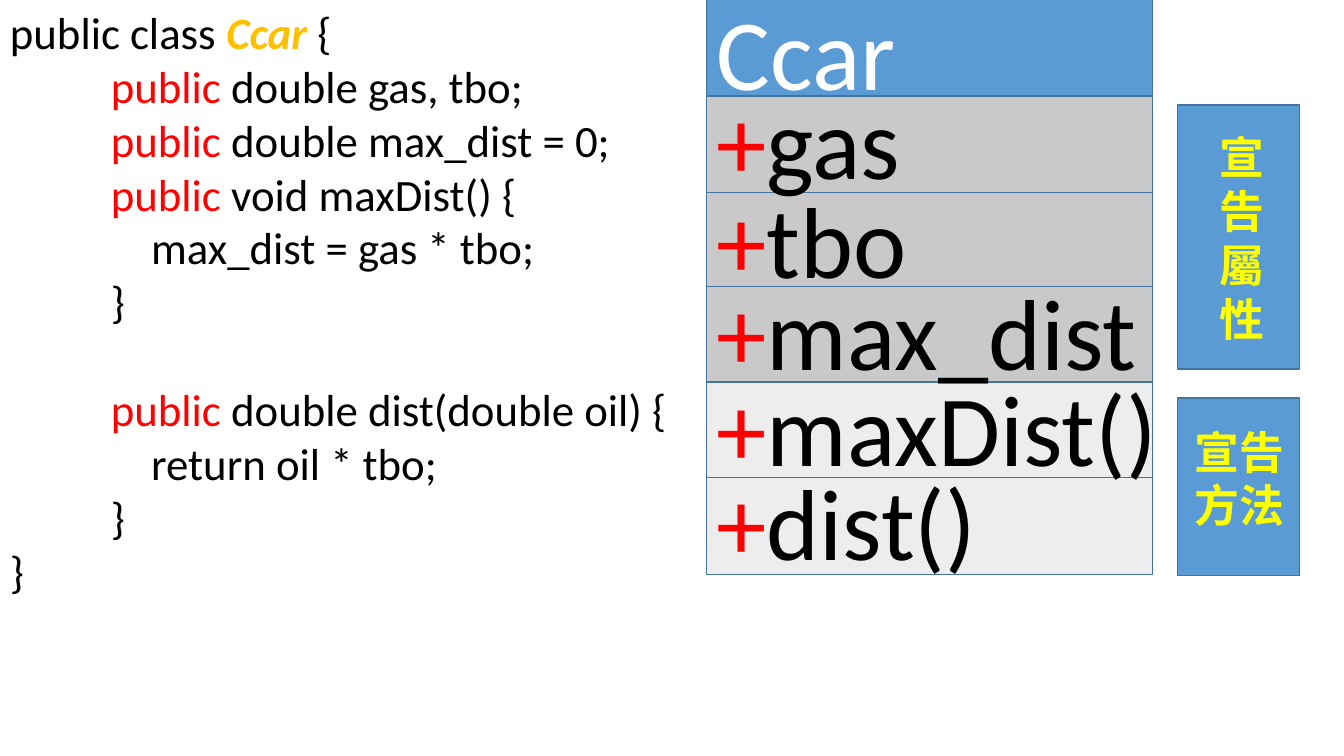
from pptx import Presentation
from pptx.dml.color import RGBColor
from pptx.enum.shapes import MSO_SHAPE
from pptx.enum.text import MSO_AUTO_SIZE
from pptx.util import Pt

EMU_PER_PX = 9144
BLACK, WHITE, RED, GOLD, YELLOW = "000000", "FFFFFF", "FF0000", "FFC000", "FFFF00"
BLUE, OUTLINE, GRAY, LIGHT_GRAY = "5B9BD5", "43739E", "C9C9C9", "EDEDED"
INDENTS = (0, 100, 140)
ROW_HEIGHT = 96
ROW_TEXT_HEIGHT = 131

CODE_LINES = [
    (0, [("public class ", BLACK), ("Ccar", GOLD), (" {", BLACK)]),
    (1, [("public", RED), (" double gas, tbo;", BLACK)]),
    (1, [("public", RED), (" double max_dist = 0;", BLACK)]),
    (1, [("public", RED), (" void maxDist() {", BLACK)]),
    (2, [("max_dist = gas * tbo;", BLACK)]),
    (1, [("}", BLACK)]),
    (1, [("public", RED), (" double dist(double oil) {", BLACK)]),
    (2, [("return oil * tbo;", BLACK)]),
    (1, [("}", BLACK)]),
    (0, [("}", BLACK)]),
]
METHOD_GAP_LINE = 6

CLASS_ROWS = [
    (0, -14, 351, BLUE, [("Ccar", WHITE)]),
    (97, -23, 360, GRAY, [("+", RED), ("gas", BLACK)]),
    (192, -20, 360, GRAY, [("+", RED), ("tbo", BLACK)]),
    (285, -21, 454, GRAY, [("+", RED), ("max_dist", BLACK)]),
    (380, -21, 467, LIGHT_GRAY, [("+", RED), ("maxDist()", BLACK)]),
    (475, -23, 467, LIGHT_GRAY, [("+", RED), ("dist()", BLACK)]),
]


def px(length):
    return length * EMU_PER_PX


def color(value):
    return RGBColor.from_string(value)


def add_box(slide, left, top, width, height, fill):
    shape = slide.shapes.add_shape(
        MSO_SHAPE.FLOWCHART_PROCESS, px(left), px(top), px(width), px(height))
    shape.shadow.inherit = False
    shape.fill.solid()
    shape.fill.fore_color.rgb = color(fill)
    shape.line.color.rgb = color(OUTLINE)
    shape.line.width = Pt(1)


def add_text_frame(slide, left, top, width, height):
    text_box = slide.shapes.add_textbox(px(left), px(top), px(width), px(height))
    text_frame = text_box.text_frame
    text_frame.word_wrap = True
    text_frame.auto_size = MSO_AUTO_SIZE.SHAPE_TO_FIT_TEXT
    return text_frame


def add_runs(paragraph, pieces, size, bold=False):
    for text, text_color in pieces:
        run = paragraph.add_run()
        run.text = text
        run.font.name = "Calibri"
        run.font.size = Pt(size)
        run.font.bold = bold or text_color == GOLD
        run.font.italic = text_color == GOLD
        run.font.color.rgb = color(text_color)


def add_code(slide, left, top, width, height):
    text_frame = add_text_frame(slide, left, top, width, height)
    for index, (level, pieces) in enumerate(CODE_LINES):
        paragraph = text_frame.paragraphs[0] if index == 0 else text_frame.add_paragraph()
        properties = paragraph._p.get_or_add_pPr()
        properties.set("marL", str(px(INDENTS[level])))
        properties.set("indent", "0")
        if index == METHOD_GAP_LINE:
            paragraph.space_before = Pt(39)
        add_runs(paragraph, pieces, 32)


def add_class_diagram(slide, left, top, width):
    for row_top, _, _, fill, _ in CLASS_ROWS:
        add_box(slide, left, top + row_top, width, ROW_HEIGHT, fill)
    for row_top, text_offset, text_width, _, pieces in CLASS_ROWS:
        text_frame = add_text_frame(
            slide, left, top + row_top + text_offset, text_width, ROW_TEXT_HEIGHT)
        add_runs(text_frame.paragraphs[0], pieces, 72)


def add_label(slide, left, top, width, height, text, text_area):
    add_box(slide, left, top, width, height, BLUE)
    text_left, text_top, text_width, text_height = text_area
    text_frame = add_text_frame(
        slide, left + text_left, top + text_top, text_width, text_height)
    add_runs(text_frame.paragraphs[0], [(text, YELLOW)], 32, bold=True)


def main():
    presentation = Presentation()
    presentation.slide_width = px(1333)
    presentation.slide_height = px(750)
    slide = presentation.slides.add_slide(presentation.slide_layouts[6])
    add_code(slide, 0, 0, 711, 656)
    add_class_diagram(slide, 701, -1, 442)
    add_label(slide, 1168, 104, 121, 262, "宣告屬性", (32, 20, 58, 226))
    add_label(slide, 1168, 395, 121, 176, "宣告方法", (7, 21, 114, 118))
    presentation.save("out.pptx")


if __name__ == "__main__":
    main()
